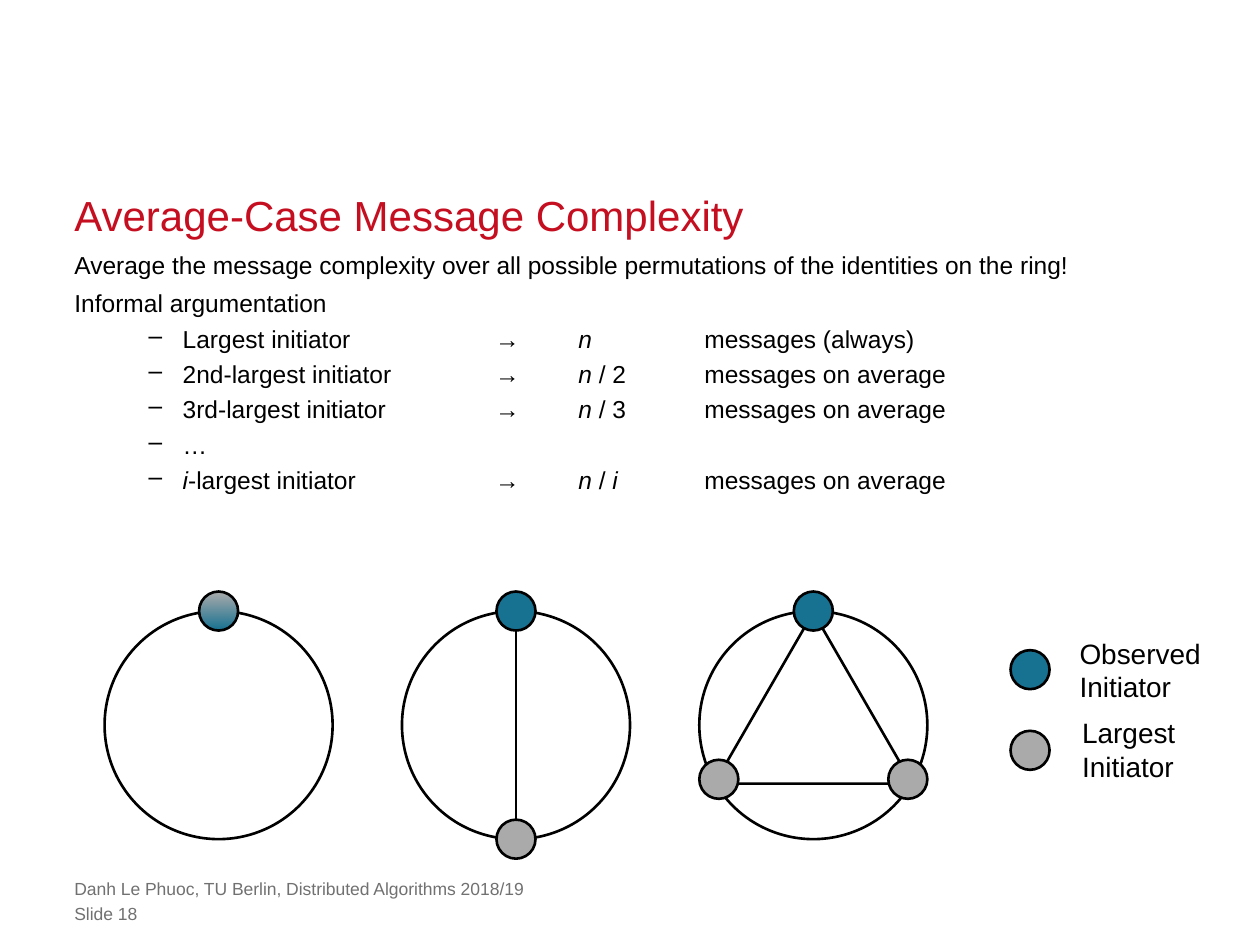
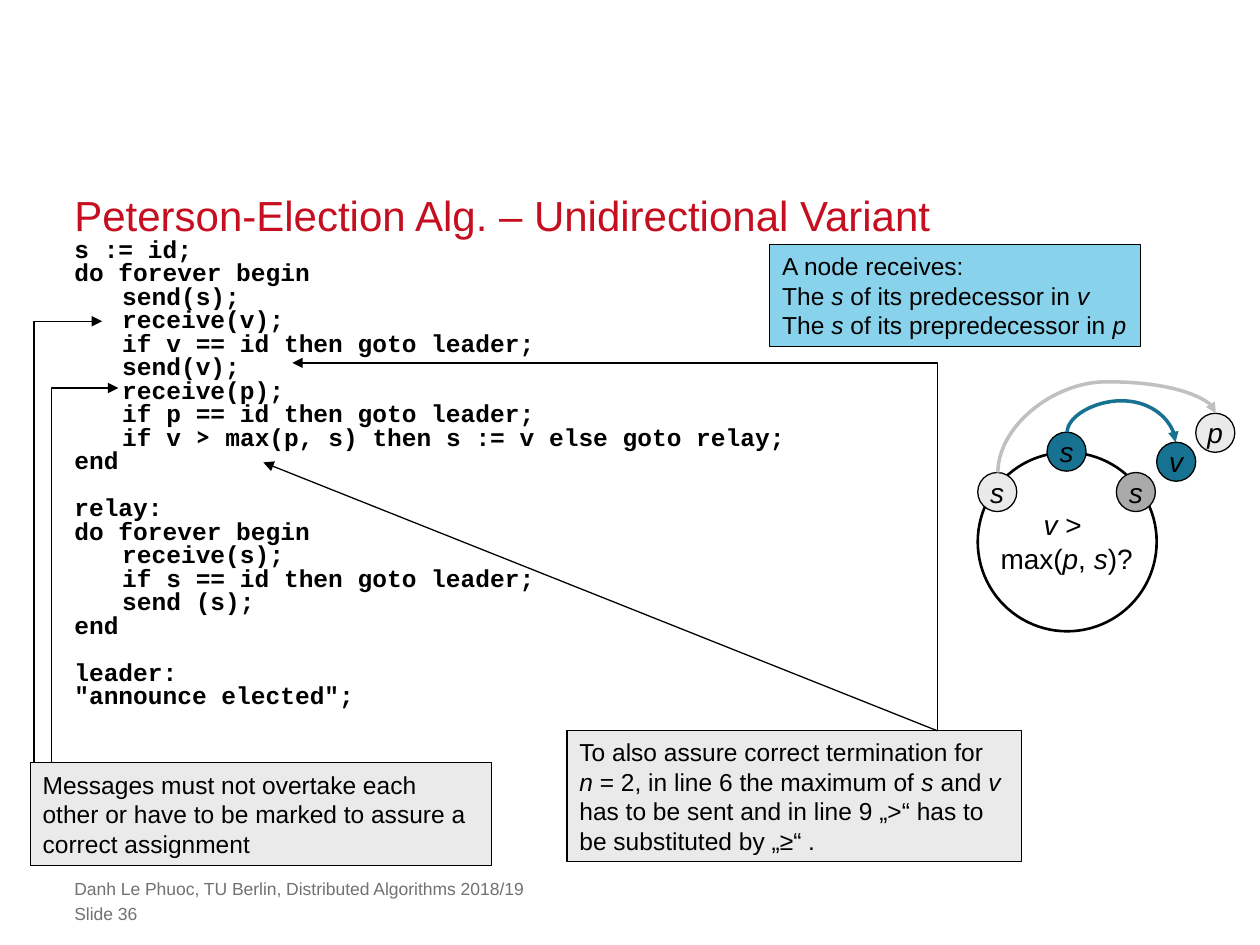
from dataclasses import dataclass

import lxml.etree
import pptx
import pptx.dml.color
import pptx.enum.shapes
import pptx.enum.text
import pptx.oxml.ns
import pptx.util

COLUMNS, ROWS = 100, 75
RED, BLACK, FOOTER_GREY = "C50E1F", "000000", "717171"
TEAL, GREY, PALE, SKY, SILVER = "177191", "AAAAAA", "EAEAEA", "89D2EC", "C0C0C0"
NODE_SIZE = 3.1
MARGIN, BODY_WIDTH = 5.9, 88.2

SHAPES = pptx.enum.shapes.MSO_SHAPE
CONNECTORS = pptx.enum.shapes.MSO_CONNECTOR
ANCHOR = pptx.enum.text.MSO_ANCHOR
ALIGN = pptx.enum.text.PP_ALIGN

INITIATORS = [
    "Largest initiator\t→\t*n*\tmessages (always)",
    "2nd-largest initiator\t→\t*n* / 2\tmessages on average",
    "3rd-largest initiator\t→\t*n* / 3\tmessages on average",
    "…",
    "*i*-largest initiator\t→\t*n* / *i*\tmessages on average",
]

CODE_SECTIONS = [
    [
        "s := id;",
        "do forever begin",
        "\tsend(s);",
        "\treceive(v);",
        "\tif v == id then goto leader;",
        "\tsend(v);",
        "\treceive(p);",
        "\tif p == id then goto leader;",
        "\tif v *>* max(p, s) then s := v else goto relay;",
        "end",
    ],
    [
        "relay:",
        "do forever begin",
        "\treceive(s);",
        "\tif s == id then goto leader;",
        "\tsend (s);",
        "end",
    ],
    ["leader:", '"announce elected";'],
]


def rgb(hex_code):
    return pptx.dml.color.RGBColor.from_string(hex_code)


def add_xml(parent, tag, **attributes):
    return lxml.etree.SubElement(parent, pptx.oxml.ns.qn(tag), **attributes)


@dataclass
class Deck:
    presentation: object
    slide: object = None
    font: str = "Arial"

    def x(self, columns):
        return round(self.presentation.slide_width * columns / COLUMNS)

    def y(self, rows):
        return round(self.presentation.slide_height * rows / ROWS)

    def box(self, left, top, width, height):
        return self.x(left), self.y(top), self.x(width), self.y(height)

    def new_slide(self, title, number):
        self.slide = self.presentation.slides.add_slide(self.presentation.slide_layouts[6])
        heading = self.text_area(MARGIN, 14.8, BODY_WIDTH, 4.2, anchor=ANCHOR.BOTTOM)
        self.fill_text(heading, [title], 24, RED, spacing=pptx.util.Pt(30))
        footer = ["Danh Le Phuoc, TU Berlin, Distributed Algorithms 2018/19", f"Slide {number}"]
        for index, line in enumerate(footer):
            area = self.text_area(MARGIN, 69.7 + 2 * index, 72.4, 1.7)
            self.fill_text(area, [line], 10, FOOTER_GREY)

    def text_area(self, left, top, width, height, anchor=ANCHOR.TOP, inset=False, wrap=True):
        frame = self.slide.shapes.add_textbox(*self.box(left, top, width, height)).text_frame
        frame.word_wrap = wrap
        frame.vertical_anchor = anchor
        if not inset:
            frame.margin_left = frame.margin_right = frame.margin_top = frame.margin_bottom = 0
        return frame

    def fill_text(self, frame, lines, size, color=BLACK, font=None, spacing=None,
                  align=ALIGN.LEFT, bold=False, accent_font=None):
        paragraphs = []
        for line in lines:
            paragraph = frame.add_paragraph() if paragraphs else frame.paragraphs[0]
            for part_index, part in enumerate(line.split("*")):
                for row_index, text in enumerate(part.split("\n")):
                    if row_index:
                        paragraph.add_line_break()
                    if text:
                        run = paragraph.add_run()
                        run.text = text
                        if part_index % 2 and accent_font:
                            run.font.name = accent_font
                        elif part_index % 2:
                            run.font.italic = True
            paragraph.alignment = align
            if spacing:
                paragraph.line_spacing = spacing
            paragraph.font.name = font or self.font
            paragraph.font.size = pptx.util.Pt(size)
            paragraph.font.bold = bold
            paragraph.font.color.rgb = rgb(color)
            paragraphs.append(paragraph)
        return paragraphs

    def indent(self, paragraph, margin, hanging, bullet=None, tabs=()):
        properties = paragraph._p.get_or_add_pPr()
        properties.set("marL", str(self.x(margin)))
        properties.set("indent", str(-self.x(hanging)))
        defaults = properties.find(pptx.oxml.ns.qn("a:defRPr"))
        if bullet:
            defaults.addprevious(add_xml(properties, "a:buChar", char=bullet))
        if tabs:
            stops = add_xml(properties, "a:tabLst")
            for position in tabs:
                add_xml(stops, "a:tab", pos=str(self.x(position)), algn="l")
            defaults.addprevious(stops)

    def outline(self, shape, width, color=BLACK, arrow=False):
        shape.line.color.rgb = rgb(color)
        shape.line.width = pptx.util.Pt(width)
        if arrow:
            stroke = shape.element.spPr.find(pptx.oxml.ns.qn("a:ln"))
            add_xml(stroke, "a:tailEnd", type="triangle")

    def shape(self, kind, left, top, width, height, fill=None, line=1.5):
        shape = self.slide.shapes.add_shape(kind, *self.box(left, top, width, height))
        shape.shadow.inherit = False
        if fill:
            shape.fill.solid()
            shape.fill.fore_color.rgb = rgb(fill)
        else:
            shape.fill.background()
        self.outline(shape, line)
        return shape

    def circle(self, x, y, diameter, fill=None, line=1.5):
        radius = diameter / 2
        return self.shape(SHAPES.OVAL, x - radius, y - radius, diameter, diameter, fill, line)

    def node(self, x, y, fill, letter=None):
        node = self.circle(x, y, NODE_SIZE, fill, 0.75 if letter else 1.5)
        if letter:
            node.text_frame.word_wrap = False
            node.text_frame.vertical_anchor = ANCHOR.MIDDLE
            self.fill_text(node.text_frame, [f"*{letter}*"], 16, align=ALIGN.CENTER)
        return node

    def note(self, left, top, width, height, fill, lines, wrap=True):
        note = self.shape(SHAPES.RECTANGLE, left, top, width, height, fill, 0.75)
        note.text_frame.word_wrap = wrap
        note.text_frame.vertical_anchor = ANCHOR.MIDDLE
        self.fill_text(note.text_frame, lines, 14)

    def label(self, left, top, width, lines, align=ALIGN.LEFT):
        area = self.text_area(left, top, width, 6.4, inset=True, wrap=False)
        self.fill_text(area, lines, 16, align=align)

    def connector(self, kind, start, end, width, color=BLACK, arrow=False):
        connector = self.slide.shapes.add_connector(
            kind, self.x(start[0]), self.y(start[1]), self.x(end[0]), self.y(end[1]))
        self.outline(connector, width, color, arrow)
        add_xml(connector.element.spPr, "a:effectLst")
        return connector

    def line(self, start, end, width, arrow=False):
        self.connector(CONNECTORS.STRAIGHT, start, end, width, arrow=arrow)

    def arc(self, start, end, apex, color):
        center_x, center_y = (start[0] + end[0]) / 2, (start[1] + end[1]) / 2
        half_width, half_height = (end[0] - start[0]) / 2, abs(end[1] - start[1]) / 2
        arc = self.connector(
            CONNECTORS.CURVE,
            (center_x - half_height, center_y - half_width),
            (center_x + half_height, center_y + half_width), 2, color, True)
        descending = end[1] > start[1]
        transform = arc.element.spPr.find(pptx.oxml.ns.qn("a:xfrm"))
        transform.set("rot", str((90 if descending else 270) * 60000))
        if descending:
            transform.set("flipV", "1")
        bend = (apex - start[1]) / (end[1] - start[1])
        geometry = arc.element.spPr.find(pptx.oxml.ns.qn("a:prstGeom"))
        for old_values in list(geometry):
            geometry.remove(old_values)
        add_xml(add_xml(geometry, "a:avLst"), "a:gd", name="adj1", fmla=f"val {round(bend * 100000)}")

    def corner_arrow(self, start, end):
        builder = self.slide.shapes.build_freeform(self.x(start[0]), self.y(start[1]))
        bends = [(start[0], end[1]), end]
        builder.add_line_segments([(self.x(x), self.y(y)) for x, y in bends], close=False)
        arrow = builder.convert_to_shape()
        arrow.shadow.inherit = False
        arrow.fill.background()
        self.outline(arrow, 0.75, arrow=True)


def build_average_case(deck):
    deck.new_slide("Average-Case Message Complexity", 18)
    body = deck.text_area(MARGIN, 19.1, BODY_WIDTH, 27.7)
    claims = [
        "Average the message complexity over all possible permutations of the identities on the ring!",
        "Informal argumentation",
    ]
    paragraphs = deck.fill_text(body, claims + INITIATORS, 14)
    for paragraph in paragraphs[:len(claims)]:
        paragraph.line_spacing = pptx.util.Pt(22)
    for paragraph in paragraphs[len(claims):]:
        paragraph.space_before = pptx.util.Pt(3.4)
        deck.indent(paragraph, 8.6, 2.7, "–", (33.4, 40, 50))

    ring_size, ring_y = 18.1, 57.55
    ring_top, ring_bottom = ring_y - ring_size / 2, ring_y + ring_size / 2
    single, pair, triple = (17.35 + 23.6 * index for index in range(3))
    deck.line((pair, ring_top), (pair, ring_bottom), 1.5)
    for center in (single, pair, triple):
        deck.circle(center, ring_y, ring_size)
    deck.shape(SHAPES.ISOSCELES_TRIANGLE, triple - 7.85, 48.6, 15.7, 13.6)

    shared_node = deck.node(single, ring_top, GREY)
    shared_node.fill.gradient()
    shared_node.fill.gradient_angle = 270
    for stop, position, color in zip(shared_node.fill.gradient_stops, (0, 1), (GREY, TEAL)):
        stop.position = position
        stop.color.rgb = rgb(color)
    deck.node(pair, ring_top, TEAL)
    deck.node(pair, ring_bottom, GREY)
    for side in (-7.5, 7.5):
        deck.node(triple + side, 61.85, GREY)
    deck.node(triple, ring_top, TEAL)

    legend = [("Observed", TEAL, 84.7, 50, 11.7), ("Largest", GREY, 84.9, 56.3, 9.5)]
    for index, (role, color, left, top, width) in enumerate(legend):
        deck.node(81.75, 53.15 + 6.4 * index, color)
        deck.label(left, top, width, [role, "Initiator"])


def build_peterson(deck):
    deck.new_slide("Peterson-Election Alg. – Unidirectional Variant", 36)
    pitch = pptx.util.Pt(13.45)
    code = [line for section in CODE_SECTIONS for line in section]
    listing = deck.text_area(MARGIN, 19, BODY_WIDTH, 44.5)
    paragraphs = deck.fill_text(listing, code, 14, font="Courier New", spacing=pitch,
                                bold=True, accent_font="Noto Sans Mono")
    for paragraph, line in zip(paragraphs, code):
        deck.indent(paragraph, 3.8, 3.8)
        if line in ("relay:", "leader:"):
            paragraph.space_before = pitch

    deck.note(45, 58, 36.1, 10.4, PALE, [
        "To also assure correct termination for\n*n* = 2, in line 6 the maximum of *s* and *v*\n"
        "has to be sent and in line 9 „>“ has to\nbe substituted by „≥“ ."])
    termination = (74.4, 58)
    deck.corner_arrow(termination, (23.2, 28.8))
    deck.line(termination, (20.9, 36.7), 0.75, arrow=True)
    deck.note(61.1, 19.4, 29.4, 8.1, SKY, [
        "A node receives:",
        "The *s* of its predecessor in *v*",
        "The *s* of its prepredecessor in *p*"], wrap=False)

    deck.circle(84.7, 43, 14.2, "FFFFFF")
    deck.node(84.65, 35.85, TEAL, "s")
    deck.node(90.15, 39.05, GREY, "s")
    deck.node(79.15, 39.05, PALE, "s")
    deck.arc((84.7, 34.3), (93.3, 35.1), 31.8, TEAL)
    deck.node(93.35, 36.65, TEAL, "v")
    deck.node(96.45, 34.35, PALE, "p")
    deck.arc((79.2, 37.5), (96.5, 32.8), 30.3, SILVER)
    deck.label(78.4, 39.8, 12.5, ["*v* > ", "max(*p*, *s*)?"], ALIGN.CENTER)

    deck.note(2.4, 60.5, 36.6, 8.2, PALE, [
        "Messages must not overtake each other or have to be marked to assure a correct assignment"])
    deck.corner_arrow((2.7, 60.5), (8.1, 25.5))
    deck.corner_arrow((4.1, 60.5), (9.4, 30.8))


def main():
    presentation = pptx.Presentation()
    presentation.slide_width = pptx.util.Inches(10)
    presentation.slide_height = pptx.util.Inches(7.5)
    deck = Deck(presentation)
    build_average_case(deck)
    build_peterson(deck)
    presentation.save("out.pptx")


if __name__ == "__main__":
    main()
